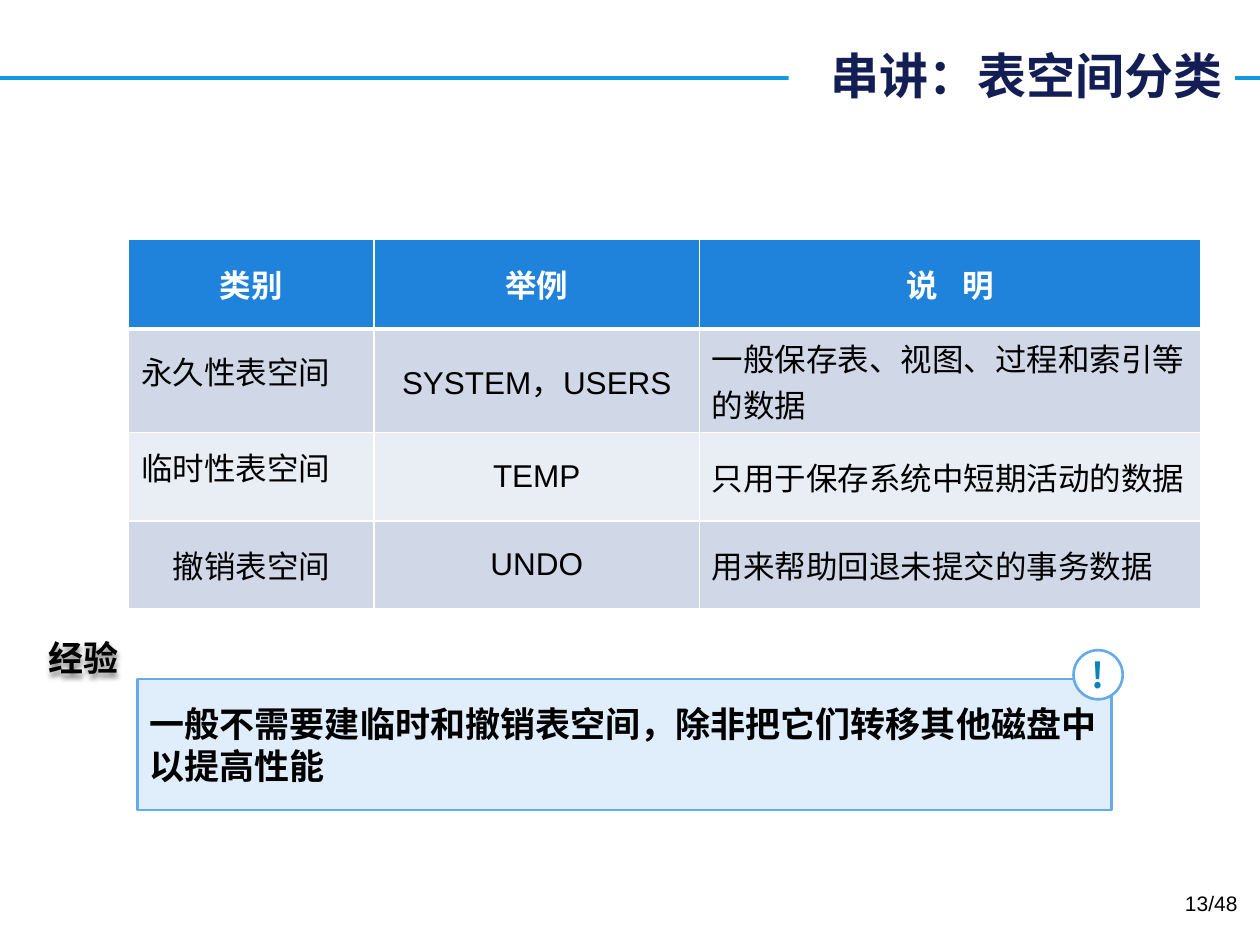
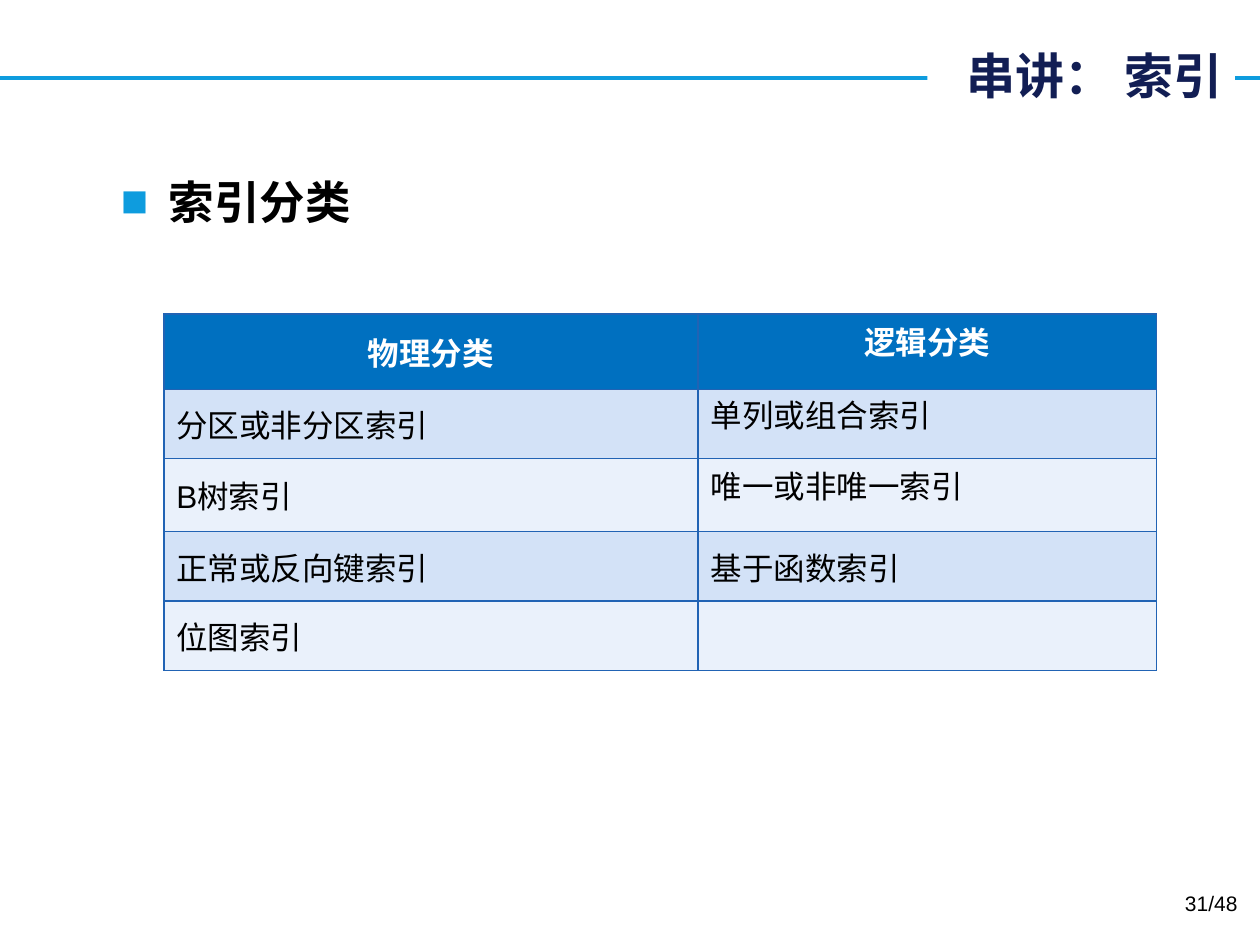
from lxml import etree
from pptx import Presentation
from pptx.dml.color import RGBColor
from pptx.enum.shapes import MSO_CONNECTOR, MSO_SHAPE
from pptx.enum.text import MSO_ANCHOR, PP_ALIGN
from pptx.oxml.ns import qn
from pptx.util import Inches, Pt

LEFT, CENTER, RIGHT, JUSTIFY = PP_ALIGN.LEFT, PP_ALIGN.CENTER, PP_ALIGN.RIGHT, PP_ALIGN.JUSTIFY
MIDDLE, TOP = MSO_ANCHOR.MIDDLE, MSO_ANCHOR.TOP
ROUNDED, OVAL = MSO_SHAPE.ROUNDED_RECTANGLE, MSO_SHAPE.OVAL

# Shared look
CJK, LATIN = "Noto Sans CJK SC", "Arial"
WHITE, BLACK, NAVY, SKY = "FFFFFF", "000000", "121E54", "0E9CDE"
TIP_FILL, TIP_LINE, TIP_MARK = "E0EEFB", "65AAE9", "0C83B8"
TITLE_ONLY, TITLE_AND_BODY = 5, 1
PAGE_COUNT = 48

# Paragraph formats used by the table cells
PLAIN = {"alignment": LEFT}
SPACED = {"alignment": LEFT, "space_before": Pt(3.6)}
HEADING = {"alignment": CENTER, "space_before": Pt(3.6)}
TIGHT_HEADING = {"alignment": CENTER, "line_spacing": Pt(14)}
CENTERED = {"alignment": CENTER}
LOWERED = {"alignment": CENTER, "space_before": Pt(9)}
TIGHT = {"alignment": JUSTIFY, "line_spacing": Pt(14.5)}

# Content
TABLESPACES = {
    "page": 13,
    "title": "串讲：表空间分类",
    "title_width": 3.54,
    "layout": TITLE_ONLY,
    "table": {
        "at": (1.02, 1.9),
        "columns": (1.95, 2.58, 3.98),
        "row_heights": (0.71, 0.7, 0.7, 0.7),
        "fills": ("1F82DB", "D0D8E8", "E9EDF4"),
        "border": WHITE,
        "header_rule": 3,
        "rows": [
            [("类别", HEADING), ("举例", HEADING), ("说 明", HEADING)],
            [("永久性表空间", TIGHT), ("SYSTEM，USERS", CENTERED),
             ("一般保存表、视图、过程和索引等的数据", PLAIN)],
            [("临时性表空间", TIGHT), ("TEMP", LOWERED),
             ("只用于保存系统中短期活动的数据", PLAIN)],
            [("撤销表空间", HEADING), ("UNDO", LOWERED),
             ("用来帮助回退未提交的事务数据", PLAIN)],
        ],
    },
}
INDEXES = {
    "page": 31,
    "title": "串讲： 索引",
    "title_width": 2.44,
    "layout": TITLE_AND_BODY,
    "table": {
        "at": (1.3, 2.49),
        "columns": (4.24, 3.64),
        "row_heights": (0.6, 0.55, 0.58, 0.55, 0.55),
        "fills": ("0070C0", "D3E2F7", "EAF1FB"),
        "border": "2163B4",
        "header_rule": 1,
        "rows": [
            [("物理分类", HEADING), ("逻辑分类", TIGHT_HEADING)],
            [("分区或非分区索引", PLAIN), ("单列或组合索引", TIGHT)],
            [("B树索引", PLAIN), ("唯一或非唯一索引", TIGHT)],
            [("正常或反向键索引", PLAIN), ("基于函数索引", SPACED)],
            [("位图索引", PLAIN), ("", PLAIN)],
        ],
    },
}
INDEX_TOPIC = "索引分类"
TIP_LABEL = "经验"
TIP = "一般不需要建临时和撤销表空间，除非把它们转移其他磁盘中以提高性能"


def rgb(value):
    return RGBColor.from_string(value)


def add_xml(parent, tag, **attributes):
    return etree.SubElement(parent, qn(tag), attributes)


def inches(*lengths):
    return [Inches(length) for length in lengths]


def paint(part, fill, line=None):
    part.fill.solid()
    part.fill.fore_color.rgb = rgb(fill)
    if line:
        part.line.color.rgb = rgb(line)
        part.line.width = Pt(1.5)


def write(frame, text, size, color=BLACK, bold=False, font=CJK, **layout):
    """Write one formatted paragraph and return it with its run."""
    paragraph = frame.paragraphs[0]
    for name, value in layout.items():
        setattr(paragraph, name, value)
    run = paragraph.add_run()
    run.text = text
    for name, value in {"size": Pt(size), "bold": bold, "name": font}.items():
        setattr(run.font, name, value)
    run.font.color.rgb = rgb(color)
    add_xml(run.font._element, "a:ea", typeface=CJK)
    return paragraph, run


def place(shape, *box):
    for name, value in zip(("left", "top", "width", "height"), inches(*box)):
        setattr(shape, name, value)


def add_text(slide, box, text, size, **style):
    label = slide.shapes.add_textbox(*inches(*box))
    label.text_frame.word_wrap = True
    write(label.text_frame, text, size, **style)
    return label


def add_master_rule(prs, slide):
    """Draw the title rule once and keep it on the master."""
    rule = slide.shapes.add_connector(
        MSO_CONNECTOR.STRAIGHT, *inches(0, 0.62, 10, 0.62))
    rule.line.color.rgb = rgb(SKY)
    rule.line.width = Pt(2.25)
    add_xml(rule.element.spPr, "a:effectLst")
    prs.slide_master.shapes.element.append(rule.element)


def set_borders(cell, color, widths):
    properties = cell._tc.get_or_add_tcPr()
    for side, width in zip("LRTB", widths):
        line = add_xml(properties, f"a:ln{side}", w=str(Pt(width)))
        add_xml(add_xml(line, "a:solidFill"), "a:srgbClr", val=color)


def add_grid(slide, at, columns, row_heights, fills, border, header_rule, rows):
    table = slide.shapes.add_table(
        len(rows), len(columns),
        *inches(*at, sum(columns), sum(row_heights))).table
    for column, width in zip(table.columns, columns):
        column.width = Inches(width)
    for r, (row, height) in enumerate(zip(rows, row_heights)):
        table.rows[r].height = Inches(height)
        is_header = r == 0
        fill = fills[0] if is_header else fills[2 - r % 2]
        above = header_rule if r == 1 else 1
        below = header_rule if is_header else 1
        for c, (text, layout) in enumerate(row):
            cell = table.cell(r, c)
            cell.vertical_anchor = MIDDLE
            set_borders(cell, border, (1, 1, above, below))
            paint(cell, fill)
            if text:
                _, run = write(cell.text_frame, text, 18, WHITE if is_header else BLACK,
                               is_header, LATIN, **layout)
                if is_header and " " in text:
                    run.font._element.set("spc", "500")


def add_page(prs, content):
    slide = prs.slides.add_slide(prs.slide_layouts[content["layout"]])
    title, width = slide.shapes.title, content["title_width"]
    place(title, 9.8 - width, 0.31, width, 0.57)
    paint(title, WHITE)
    title.text_frame.vertical_anchor = MIDDLE
    write(title.text_frame, content["title"], 28, NAVY, True, alignment=RIGHT)
    add_grid(slide, **content["table"])
    add_text(slide, (7.59, 7.02, 2.33, 0.4), f"{content['page']}/{PAGE_COUNT}", 12,
             font=LATIN, alignment=RIGHT)
    return slide


def add_tip_shape(slide, preset, box, fill, text, color, alignment):
    shape = slide.shapes.add_shape(preset, *inches(*box))
    shape.shadow.inherit = False
    paint(shape, fill, TIP_LINE)
    shape.text_frame.word_wrap = True
    shape.text_frame.vertical_anchor = MIDDLE
    write(shape.text_frame, text, 20, color, True, alignment=alignment)
    return shape


def add_tip(slide):
    panel = add_tip_shape(slide, ROUNDED, (1.09, 5.39, 7.73, 1.04),
                          TIP_FILL, TIP, BLACK, LEFT)
    panel.adjustments[0] = 0
    label = add_text(slide, (0.29, 5, 0.77, 0.44), TIP_LABEL, 20, bold=True)
    label.text_frame.word_wrap = False
    label.text_frame.vertical_anchor = MIDDLE
    # Soft shadow below the label
    effects = add_xml(label.element.spPr, "a:effectLst")
    shadow = add_xml(effects, "a:outerShdw", blurRad=str(Pt(3)),
                     dist=str(Pt(2)), dir="5400000")
    add_xml(add_xml(shadow, "a:srgbClr", val=BLACK), "a:alpha", val="50000")
    mark = add_tip_shape(slide, OVAL, (8.52, 5.16, 0.39, 0.39),
                         WHITE, "!", TIP_MARK, CENTER)
    for side in ("left", "top", "right", "bottom"):
        setattr(mark.text_frame, f"margin_{side}", 0)


def add_topic(slide, text):
    body = slide.placeholders[1]
    place(body, 0.86, 1.33, 8.36, 5.62)
    body.text_frame.vertical_anchor = TOP
    paragraph, _ = write(body.text_frame, text, 26, bold=True, font=LATIN,
                         space_before=Pt(5.2))
    bullet = paragraph._p.get_or_add_pPr()
    bullet.set("marL", str(Inches(0.38)))
    bullet.set("indent", str(Inches(-0.38)))
    add_xml(add_xml(bullet, "a:buClr"), "a:srgbClr", val=SKY)
    add_xml(bullet, "a:buFont", typeface=LATIN)
    add_xml(bullet, "a:buChar", char="■")


def main():
    prs = Presentation()
    prs.slide_width, prs.slide_height = inches(10, 7.5)
    tablespaces = add_page(prs, TABLESPACES)
    add_master_rule(prs, tablespaces)
    add_tip(tablespaces)
    indexes = add_page(prs, INDEXES)
    add_topic(indexes, INDEX_TOPIC)
    prs.save("out.pptx")


if __name__ == "__main__":
    main()
